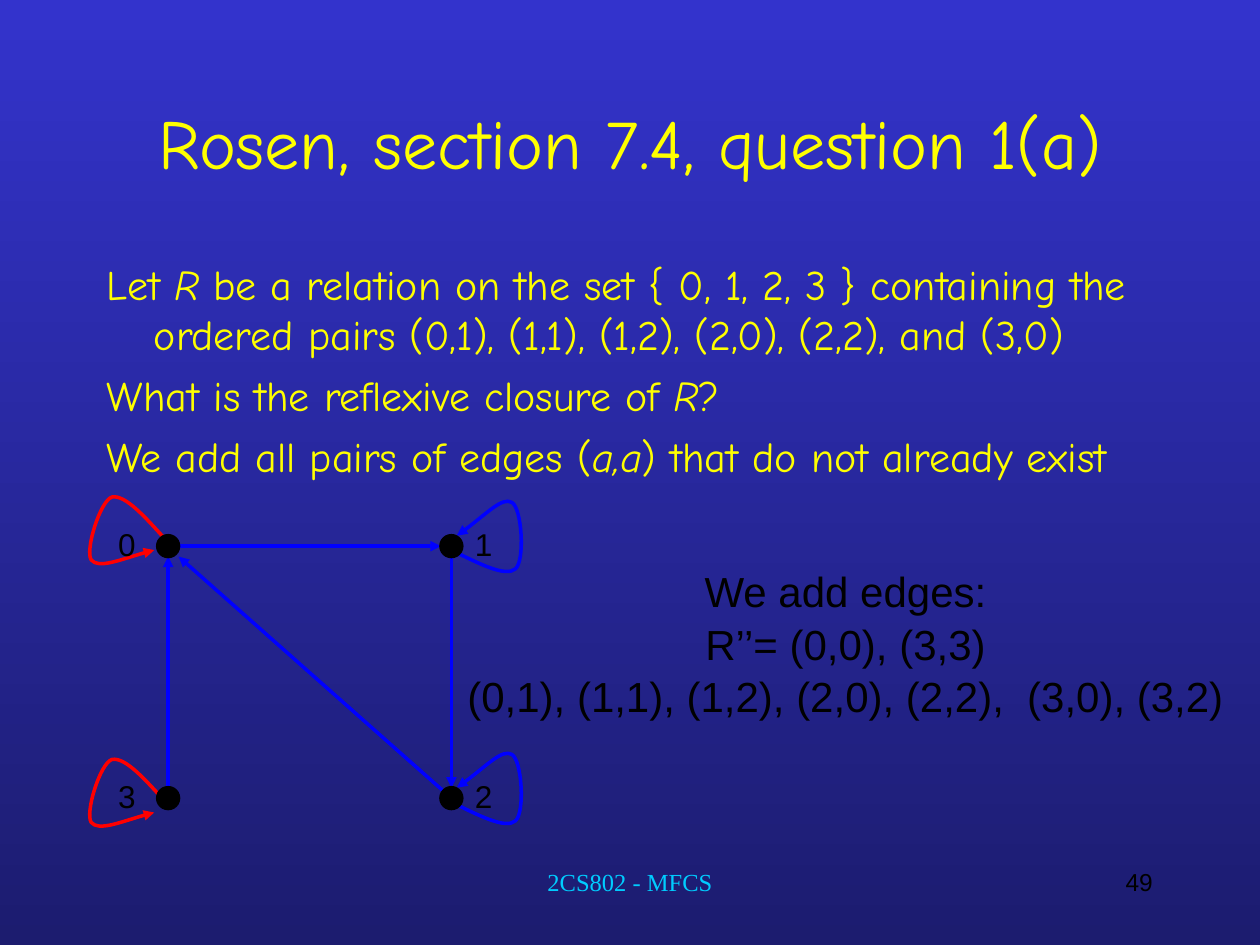
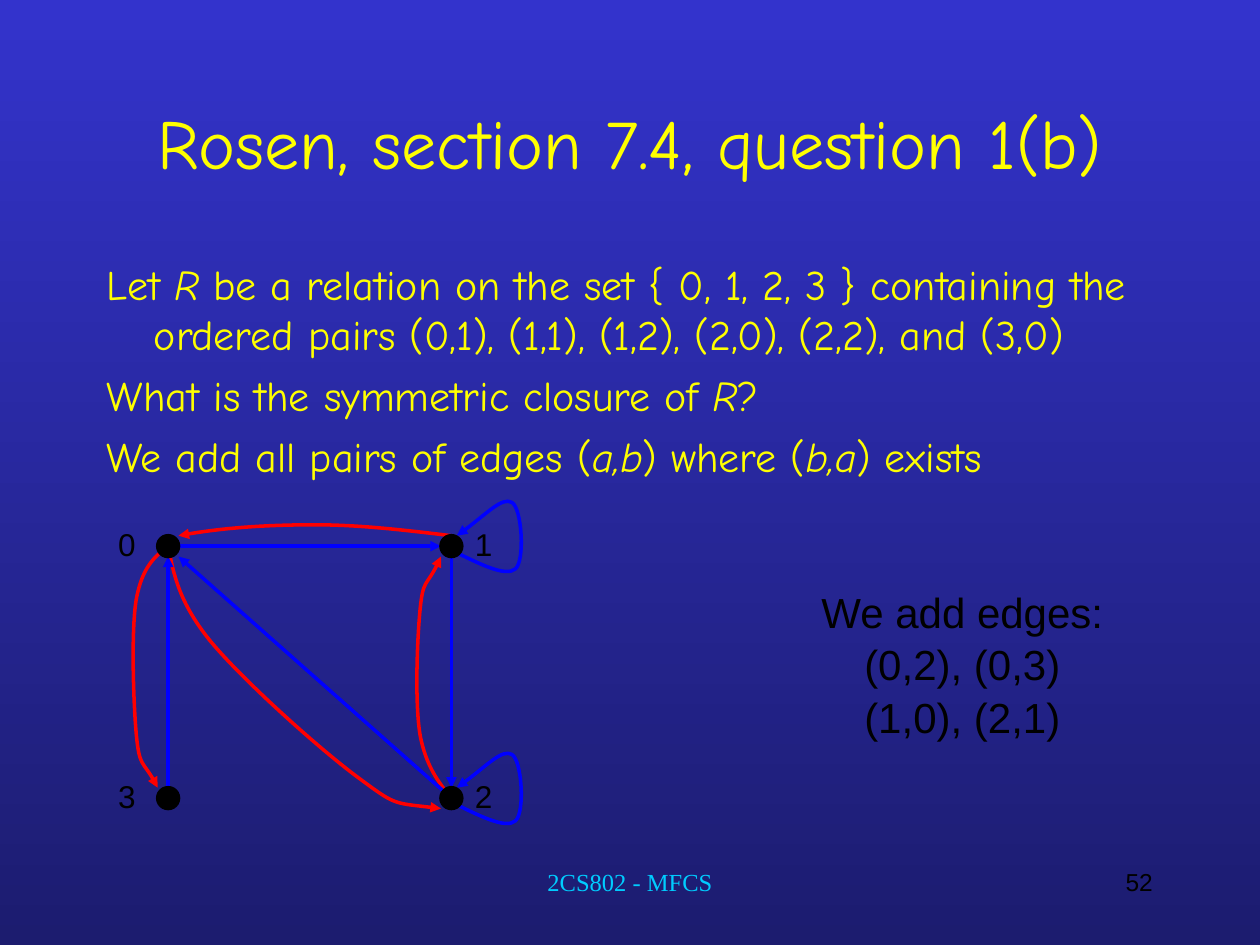
from dataclasses import dataclass
from typing import Any

from lxml.etree import SubElement as Sub
from pptx import Presentation
from pptx.dml.color import RGBColor as Rgb
from pptx.enum.shapes import MSO_CONNECTOR as Link, MSO_SHAPE as Form
from pptx.enum.text import MSO_ANCHOR as Anchor, MSO_AUTO_SIZE as Fit, PP_ALIGN as Align
from pptx.oxml.ns import qn
from pptx.util import Cm, Pt

Point = tuple[float, float]

HUES = {
    "top": "3333CC",
    "base": "1C1C6F",
    "text": "FFFF00",
    "foot": "00CCFF",
    "ink": "000000",
    "edge": "0000FF",
    "new": "FF0000",
}
FONTS = {
    "title": {"name": "Comic Neue", "size": Pt(40)},
    "body": {"name": "Comic Neue", "size": Pt(24)},
    "note": {"name": "Arial", "size": Pt(24)},
    "node": {"name": "Arial", "size": Pt(18)},
    "page": {"name": "Arial", "size": Pt(14)},
    "foot": {"name": "Times New Roman", "size": Pt(14)},
}


@dataclass(frozen=True)
class Box:
    x: float
    y: float
    w: float
    h: float

    def spans(self) -> dict[str, int]:
        return {"left": Cm(self.x), "top": Cm(self.y),
                "width": Cm(self.w), "height": Cm(self.h)}


@dataclass(frozen=True)
class Node:
    x: float
    y: float
    shift: float


@dataclass(frozen=True)
class Page:
    mark: str
    kind: str
    rule: str
    number: str
    note: Box
    lines: list[str]
    curves: list[list[Point]]


TITLE = Box(1.9, 1.27, 21.6, 3.18)
BODY = Box(1.9, 5.08, 21.6, 11.85)
FOOT = Box(7.2, 17.36, 11, 1.27)
NUMBER = Box(18.2, 17.36, 5.29, 1.27)
INDENT = 0.95
RADIUS = 0.21
LEFT, RIGHT, HIGH, LOW = 3.39, 9.1, 11.01, 16.09
NODES = {
    "0": Node(LEFT, HIGH, -0.83),
    "1": Node(RIGHT, HIGH, 0.65),
    "3": Node(LEFT, LOW, -0.83),
    "2": Node(RIGHT, LOW, 0.65),
}
EDGES = [
    ((LEFT, HIGH), (RIGHT - RADIUS, HIGH)),
    ((RIGHT, HIGH), (RIGHT, LOW - RADIUS)),
    ((RIGHT, LOW), (LEFT + RADIUS, HIGH + RADIUS)),
    ((LEFT, LOW), (LEFT, HIGH + RADIUS)),
]
EAST = [(0, 0.08), (0.55, 0.35), (1.09, 0.63), (1.29, 0.46), (1.49, 0.29),
        (1.42, -0.77), (1.22, -0.88), (1.03, -1), (0.63, -0.57), (0.11, -0.21)]
WEST = [(-0.05, -0.13), (-0.46, -0.58), (-0.86, -1.04), (-1.13, -0.99), (-1.37, -0.92),
        (-1.68, 0.09), (-1.55, 0.28), (-1.4, 0.46), (-0.86, 0.23), (-0.28, 0.08)]


def move(points: list[Point], x: float, y: float) -> list[Point]:
    return [(x + dx, y + dy) for dx, dy in points]


PAGES = [
    Page("a", "reflexive", "(*a,a*) that do not already exist", "49",
         Box(9.17, 11.22, 15.75, 4.32),
         ["We add edges:", "R’’= (0,0), (3,3)",
          "(0,1), (1,1), (1,2), (2,0), (2,2),  (3,0), (3,2)"],
         [move(WEST, LEFT, HIGH), move(WEST, LEFT, LOW + RADIUS)]),
    Page("b", "symmetric", "(*a,b*) where (*b,a*) exists", "52",
         Box(16.3, 11.64, 6.2, 3.3),
         ["We add edges:", "(0,2), (0,3)", "(1,0), (2,1)"],
         [[(9.1, 10.8), (8.18, 10.69), (7.26, 10.58), (6.35, 10.58),
           (5.43, 10.58), (4.45, 10.64), (3.6, 10.8)],
          [(9.1, 16.09), (8.84, 15.77), (8.59, 15.45), (8.47, 14.82), (8.36, 14.18),
           (8.41, 12.88), (8.47, 12.28), (8.53, 11.68), (8.61, 11.85), (8.89, 11.22)],
          [(3.39, 11.01), (3.5, 11.58), (3.61, 12.14), (4.23, 12.91), (4.87, 13.69),
           (6.43, 15.09), (7.2, 15.66), (7.97, 16.23), (7.9, 16.18), (8.89, 16.3)],
          [(3.39, 11.01), (3.12, 11.22), (2.87, 11.43), (2.75, 12.07), (2.64, 12.7),
           (2.69, 14.18), (2.75, 14.82), (2.81, 15.45), (2.9, 15.33), (3.18, 15.88)]]),
]


def adjust(item: Any, values: dict[str, Any]) -> None:
    for key, value in values.items():
        setattr(item, key, value)


def write(para: Any, text: str, font: str, hue: str) -> None:
    for index, piece in enumerate(text.split("*")):
        run = para.add_run()
        run.text = piece
        adjust(run.font, {**FONTS[font], "italic": index % 2 == 1})
        run.font.color.rgb = Rgb.from_string(HUES[hue])


def label(slide: Any, box: Box, lines: list[str], font: str, hue: str = "ink",
          wrap: bool = False, **form: Any) -> None:
    frame = slide.shapes.add_textbox(**box.spans()).text_frame
    frame.word_wrap = wrap
    for index, line in enumerate(lines):
        para = frame.add_paragraph() if index else frame.paragraphs[0]
        adjust(para, {"alignment": Align.CENTER, **form})
        write(para, line, font, hue)


def ink(shape: Any, hue: str, arrow: bool = True) -> None:
    shape.line.color.rgb = Rgb.from_string(HUES[hue])
    shape.line.width = Pt(2)
    if arrow:
        Sub(shape._element.spPr.find(qn("a:ln")), qn("a:tailEnd"), type="triangle")


def curve(slide: Any, points: list[Point], hue: str) -> None:
    start, *rest = [(Cm(x), Cm(y)) for x, y in points]
    pen = slide.shapes.build_freeform(*start)
    pen.add_line_segments(rest, close=False)
    shape = pen.convert_to_shape()
    trace = next(shape._element.iter(qn("a:path")))
    steps = trace.findall(qn("a:lnTo"))
    for index, step in enumerate(steps):
        if index % 3 == 0:
            bend = Sub(trace, qn("a:cubicBezTo"))
        bend.append(step[0])
        trace.remove(step)
    shape.fill.background()
    ink(shape, hue)
    shape.shadow.inherit = False


def edge(slide: Any, start: Point, end: Point) -> None:
    ends = [Cm(value) for value in (*start, *end)]
    line = slide.shapes.add_connector(Link.STRAIGHT, *ends)
    ink(line, "edge")
    Sub(line._element.spPr, qn("a:effectLst"))


def dot(slide: Any, node: Node) -> None:
    box = Box(node.x - RADIUS, node.y - RADIUS, 2 * RADIUS, 2 * RADIUS)
    shape = slide.shapes.add_shape(Form.OVAL, *box.spans().values())
    shape.fill.solid()
    shape.fill.fore_color.rgb = Rgb.from_string(HUES["ink"])
    ink(shape, "ink", arrow=False)
    shape.shadow.inherit = False


def graph(slide: Any, curves: list[list[Point]]) -> None:
    for points in curves:
        curve(slide, points, "new")
    for name, node in NODES.items():
        box = Box(node.x + node.shift - 0.43, node.y - 0.85, 0.86, 1.32)
        label(slide, box, [name], "node", line_spacing=1.4)
    for y in (HIGH, LOW):
        curve(slide, move(EAST, RIGHT, y), "edge")
    for start, end in EDGES:
        edge(slide, start, end)
    for node in NODES.values():
        dot(slide, node)


def head(slide: Any, text: str) -> None:
    title = slide.shapes.title
    adjust(title, TITLE.spans())
    adjust(title.text_frame, {"vertical_anchor": Anchor.MIDDLE, "auto_size": Fit.NONE})
    para = title.text_frame.paragraphs[0]
    para.alignment = Align.CENTER
    write(para, text, "title", "text")


def body(slide: Any, lines: list[str]) -> None:
    holder = slide.placeholders[1]
    adjust(holder, BODY.spans())
    frame = holder.text_frame
    frame.auto_size = Fit.NONE
    for index, line in enumerate(lines):
        para = frame.add_paragraph() if index else frame.paragraphs[0]
        props = para._p.get_or_add_pPr()
        props.set("marL", str(Cm(INDENT)))
        props.set("indent", str(-Cm(INDENT)))
        Sub(props, qn("a:buNone"))
        para.space_before = Pt(6 if index else 0)
        write(para, line, "body", "text")


def paint(master: Any) -> None:
    fill = master.background.fill
    fill.gradient()
    fill.gradient_angle = 270
    for stop, hue, place in zip(fill.gradient_stops, ("top", "base"), (0, 1)):
        stop.color.rgb = Rgb.from_string(HUES[hue])
        stop.position = place


def build(deck: Any, page: Page) -> None:
    slide = deck.slides.add_slide(deck.slide_layouts[1])
    head(slide, f"Rosen, section 7.4, question 1({page.mark})")
    body(slide, [
        "Let *R* be a relation on the set { 0, 1, 2, 3 } containing the ordered pairs "
        "(0,1), (1,1), (1,2), (2,0), (2,2), and (3,0)",
        f"What is the {page.kind} closure of *R*?",
        f"We add all pairs of edges {page.rule}",
    ])
    graph(slide, page.curves)
    label(slide, page.note, page.lines, "note", line_spacing=1.05)
    label(slide, NUMBER, [page.number], "page", wrap=True, alignment=Align.RIGHT)
    label(slide, FOOT, ["2CS802 - MFCS"], "foot", "foot", wrap=True)


def main() -> None:
    deck = Presentation()
    adjust(deck, {"slide_width": Cm(25.4), "slide_height": Cm(19.05)})
    paint(deck.slide_master)
    for page in PAGES:
        build(deck, page)
    deck.save("out.pptx")


if __name__ == "__main__":
    main()
